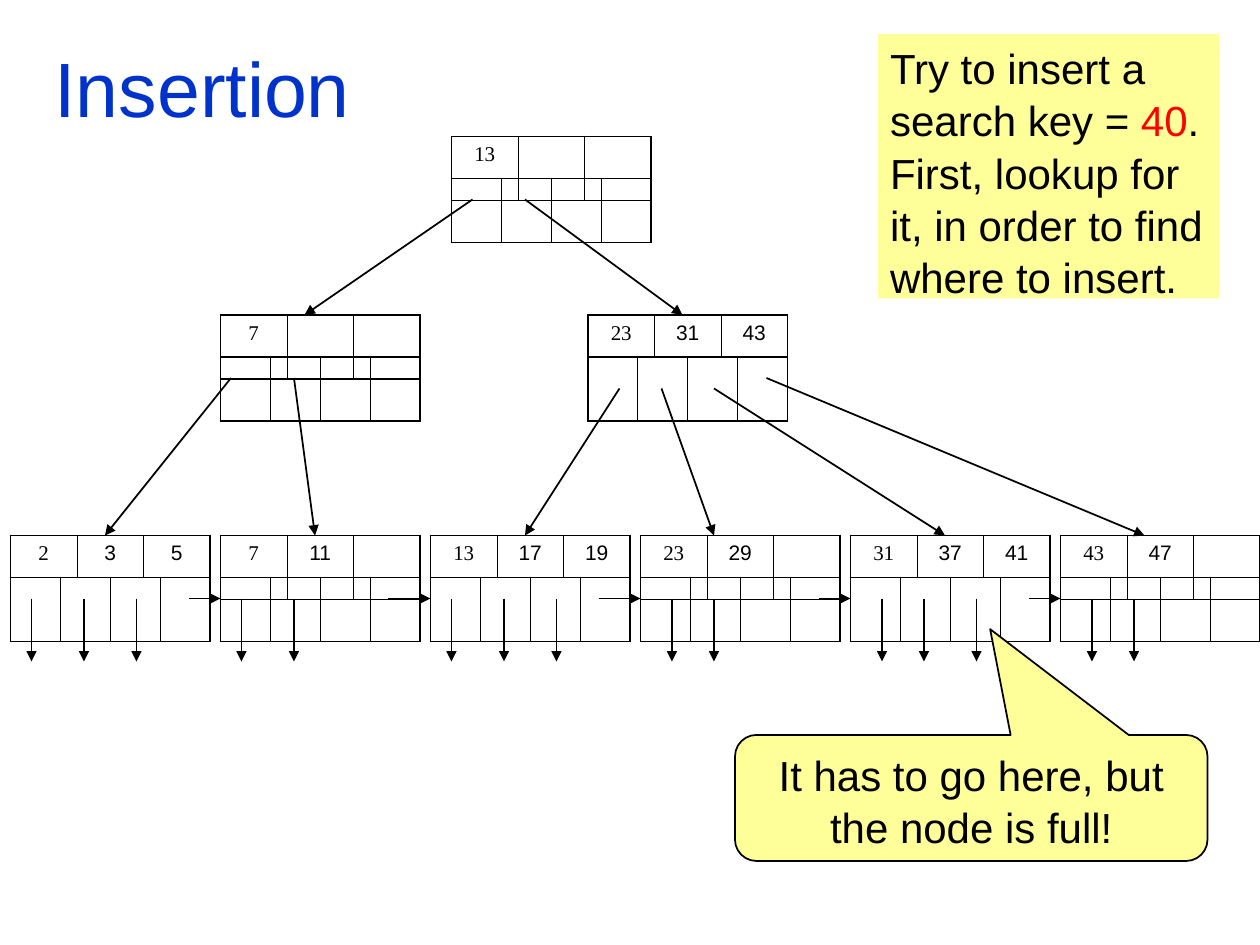
"""Build a slide showing insertion of key 40 into a B+ tree."""
from lxml import etree
from pptx import Presentation
from pptx.dml.color import RGBColor
from pptx.enum import shapes, text
from pptx.oxml import ns
from pptx.util import Pt

BLACK, RED, BLUE, YELLOW = "000000", "FF0000", "0033CC", "FFFF99"
ARIAL, TIMES = "Arial", "Times New Roman"
NODE_W, ROW_H, SLOTS = 114, 24, 3
ROOT_Y, INNER_Y, LEAF_Y = 78, 180, 306
LEAF_X, LEAF_STEP = 6, 120
THICK, THIN = 1.08, 0.45

INNER_NODES = [
    (258, ROOT_Y, ["13"]),
    (126, INNER_Y, ["7"]),
    (336, INNER_Y, ["23", "31", "43"]),
]
LEAVES = [
    (["2", "3", "5"], [12, 42, 72], 102),
    (["7", "11"], [12, 42], 96),
    (["13", "17", "19"], [12, 42, 72], 96),
    (["23", "29"], [18, 42], 102),
    (["31", "37", "41"], [18, 42, 72], 102),
    (["43", "47"], [18, 42], None),
]
CHILD_ARROWS = [
    (270, 114, 174, INNER_Y),
    (300, 114, 390, INNER_Y),
    (132, 216, 60, LEAF_Y),
    (168, 216, 180, LEAF_Y),
    (354, 222, 300, LEAF_Y),
    (378, 222, 408, LEAF_Y),
    (408, 222, 540, LEAF_Y),
    (438, 216, 654, LEAF_Y),
]
NOTE = [
    [("Try to insert a search key = ", BLACK), ("40", RED), (".", BLACK)],
    [("First, lookup for it, in order to find where to insert.", BLACK)],
]
CALLOUT = "It has to go here, but the node is full!"


def rgb(value):
    """Return the colour for a hex string."""
    return RGBColor.from_string(value)


def add_text(p, content, size=24, font=ARIAL, color=BLACK, align=None, spacing=None):
    """Add one formatted run to a paragraph."""
    p.alignment = align
    p.line_spacing = spacing
    r = p.add_run()
    r.text = content
    r.font.size, r.font.name = Pt(size), font
    r.font.color.rgb = rgb(color)


def set_borders(cell, first, last):
    """Draw thick outer borders and thin inner separators."""
    tc_pr = cell._tc.get_or_add_tcPr()
    sides = [("lnL", first), ("lnR", last), ("lnT", True), ("lnB", True)]
    for i, (side, outer) in enumerate(sides):
        ln = etree.Element(ns.qn(f"a:{side}"), w=str(Pt(THICK if outer else THIN)))
        fill = etree.SubElement(ln, ns.qn("a:solidFill"))
        etree.SubElement(fill, ns.qn("a:srgbClr"), val=BLACK)
        tc_pr.insert(i, ln)


def add_row(s, x, y, labels):
    """Add a one-row table with a cell for each label."""
    n = len(labels)
    frame = s.shapes.add_table(1, n, Pt(x), Pt(y), Pt(NODE_W), Pt(ROW_H))
    table = frame.table
    table.first_row = table.horz_banding = False
    for i, label in enumerate(labels):
        table.columns[i].width = Pt(NODE_W / n)
        cell = table.cell(0, i)
        cell.fill.background()
        set_borders(cell, i == 0, i == n - 1)
        p = cell.text_frame.paragraphs[0]
        if label:
            add_text(p, label, size=12, font=ARIAL if i else TIMES,
                     align=text.PP_ALIGN.CENTER)
        else:
            p._p.get_or_add_endParaRPr().set("sz", "2400")


def add_node(s, x, y, keys):
    """Add a node: a row of keys above a row of pointers."""
    add_row(s, x, y, keys + [""] * (SLOTS - len(keys)))
    add_row(s, x, y + ROW_H, [""] * (SLOTS + 1))


def add_arrow(s, x1, y1, x2, y2):
    """Add a black arrow between two points."""
    c = s.shapes.add_connector(shapes.MSO_CONNECTOR.STRAIGHT,
                               Pt(x1), Pt(y1), Pt(x2), Pt(y2))
    c.line.color.rgb, c.line.width = rgb(BLACK), Pt(1)
    etree.SubElement(c.line._get_or_add_ln(), ns.qn("a:tailEnd"), type="triangle")
    etree.SubElement(c._element.spPr, ns.qn("a:effectLst"))


def add_box(s, kind, x, y, w, h):
    """Add a yellow shape whose text starts at the top."""
    sp = s.shapes.add_shape(kind, Pt(x), Pt(y), Pt(w), Pt(h))
    sp.shadow.inherit = False
    sp.fill.solid()
    sp.fill.fore_color.rgb = rgb(YELLOW)
    sp.text_frame.word_wrap = True
    sp.text_frame.vertical_anchor = text.MSO_ANCHOR.TOP
    return sp


def main():
    """Build and save the slide."""
    prs = Presentation()
    prs.slide_width, prs.slide_height = Pt(720), Pt(540)
    s = prs.slides.add_slide(prs.slide_layouts[5])

    title = s.shapes.title
    title.left, title.top, title.width, title.height = Pt(24), Pt(6), Pt(660), Pt(87)
    tf = title.text_frame
    tf.auto_size = text.MSO_AUTO_SIZE.NONE
    tf.vertical_anchor = text.MSO_ANCHOR.MIDDLE
    add_text(tf.paragraphs[0], "Insertion", size=44, color=BLUE,
             align=text.PP_ALIGN.LEFT)

    for x, y, keys in INNER_NODES:
        add_node(s, x, y, keys)
    for i, (keys, _, _) in enumerate(LEAVES):
        add_node(s, LEAF_X + i * LEAF_STEP, LEAF_Y, keys)

    for ends in CHILD_ARROWS:
        add_arrow(s, *ends)
    link_y = LEAF_Y + 36
    for i, (_, records, link) in enumerate(LEAVES):
        x = LEAF_X + i * LEAF_STEP
        for dx in records:
            add_arrow(s, x + dx, link_y, x + dx, link_y + 36)
        if link:
            add_arrow(s, x + link, link_y, x + LEAF_STEP, link_y)

    note = add_box(s, shapes.MSO_SHAPE.RECTANGLE, 501.5, 19.5, 195, 151)
    note.line.fill.background()
    tf = note.text_frame
    for i, runs in enumerate(NOTE):
        p = tf.add_paragraph() if i else tf.paragraphs[0]
        for content, color in runs:
            add_text(p, content, color=color, align=text.PP_ALIGN.LEFT, spacing=1.04)

    callout = add_box(s, shapes.MSO_SHAPE.ROUNDED_RECTANGULAR_CALLOUT, 420, 420, 270, 72)
    for i, value in enumerate((0.04, -1.34, 0.17)):
        callout.adjustments[i] = value
    callout.line.color.rgb, callout.line.width = rgb(BLACK), Pt(1)
    add_text(callout.text_frame.paragraphs[0], CALLOUT,
             align=text.PP_ALIGN.CENTER, spacing=1.04)

    prs.save("out.pptx")


if __name__ == "__main__":
    main()
